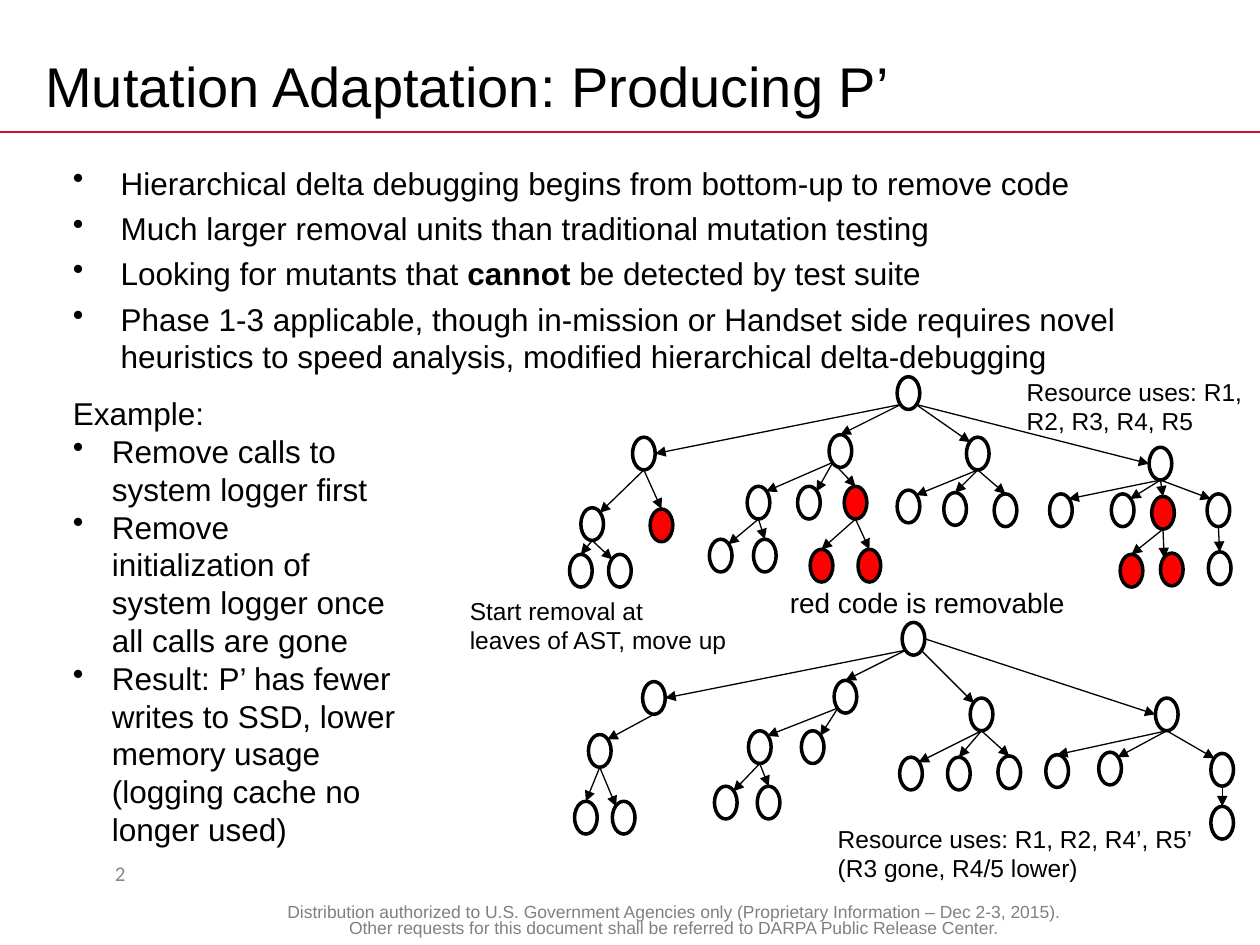
from dataclasses import dataclass

from lxml import etree
from pptx import Presentation
from pptx import util as u
from pptx.dml.color import RGBColor
from pptx.enum import shapes, text
from pptx.oxml import ns

PX = u.Inches(1) // 100
WIDTH, HEIGHT = 1000, 750

BLACK = RGBColor(0x00, 0x00, 0x00)
WHITE = RGBColor(0xFF, 0xFF, 0xFF)
RED = RGBColor(0xFF, 0x00, 0x00)
CRIMSON = RGBColor(0xCE, 0x11, 0x26)
FOOTER_GRAY = RGBColor(0x80, 0x80, 0x80)
NUMBER_GRAY = RGBColor(0x89, 0x89, 0x89)

NODE_SIZE = (18, 26)
# Points on a node where edges leave or arrive, from its top left corner
SITES = {"top": (9, 0), "top left": (3, 4), "left": (0, 13),
         "bottom left": (3, 22), "bottom": (9, 26), "bottom right": (15, 22),
         "right": (18, 13), "top right": (15, 4)}


@dataclass
class Node:
    """A syntax tree node; the edge from its parent runs from leave to arrive."""
    x: int
    y: int
    arrive: str = "top"
    leave: str = "bottom"
    removable: bool = False
    children: tuple = ()


FULL_TREE = Node(260, 0, children=(
    Node(50, 48, "right", "bottom left", children=(
        Node(9, 104, "top right", children=(
            Node(0, 141), Node(31, 141, "top left"))),
        Node(64, 105, removable=True))),
    Node(206, 46, "top", "bottom left", children=(
        Node(141, 87, "top right", "bottom left", children=(
            Node(111, 129, "top right"), Node(146, 129))),
        Node(181, 87, "top right", "bottom left"),
        Node(218, 87, "top", "bottom left", removable=True, children=(
            Node(191, 137, removable=True),
            Node(229, 137, removable=True))))),
    Node(315, 48, "top left", "bottom right", children=(
        Node(260, 90, "top right"), Node(297, 92), Node(337, 93))),
    Node(460, 56, "left", "bottom right", children=(
        Node(381, 93, "top right"),
        Node(430, 93, "top right"),
        Node(462, 95, removable=True, children=(
            Node(437, 141, removable=True),
            Node(469, 140, "top left", removable=True))),
        Node(506, 93, "top left", children=(Node(507, 139),))))))

REDUCED_TREE = Node(260, 0, children=(
    Node(54, 47, "right", "bottom left", children=(
        Node(11, 89, "top right", children=(
            Node(0, 142), Node(30, 142, "top left"))),)),
    Node(206, 46, "top", "bottom left", children=(
        Node(138, 86, "top right", "bottom left", children=(
            Node(111, 130, "top right"), Node(145, 130))),
        Node(180, 86, "top right", "bottom left"))),
    Node(314, 60, "top left", "bottom right", children=(
        Node(258, 107, "top right"), Node(296, 107), Node(336, 106))),
    Node(461, 60, "left", "right", children=(
        Node(374, 105),
        Node(416, 103, "top right"),
        Node(505, 104, "top left", children=(Node(505, 146),))))))


def px(*lengths):
    return [u.Emu(length * PX) for length in lengths]


def add_bullet(paragraph, indent):
    properties = paragraph._p.get_or_add_pPr()
    properties.set("marL", str(indent * PX))
    properties.set("indent", str(-indent * PX))
    bullet = etree.SubElement(properties, ns.qn("a:buChar"))
    bullet.set("char", "•")


def write(frame, paragraphs, size, color=BLACK, font="Arial", align=None,
          anchor=text.MSO_ANCHOR.TOP, wrap=True, indent=0, plain=0,
          space_before=0, line_spacing=None):
    """Fill a frame; ** toggles bold, and the first `plain` paragraphs get no bullet."""
    frame.word_wrap = wrap
    frame.auto_size = text.MSO_AUTO_SIZE.NONE
    frame.vertical_anchor = anchor
    for index, content in enumerate(paragraphs):
        paragraph = frame.add_paragraph() if index else frame.paragraphs[0]
        if indent and index >= plain:
            add_bullet(paragraph, indent)
        if index and space_before:
            paragraph.space_before = u.Pt(space_before)
        paragraph.alignment = align
        paragraph.line_spacing = line_spacing
        for line_index, line in enumerate(content.split("\n")):
            if line_index:
                paragraph.add_line_break()
            for part, words in enumerate(line.split("**")):
                run = paragraph.add_run()
                run.text = words
                run.font.size = u.Pt(size)
                run.font.name = font
                run.font.bold = part % 2 == 1
                run.font.color.rgb = color


def add_text(slide, box, paragraphs, size, **formatting):
    write(slide.shapes.add_textbox(*px(*box)).text_frame, paragraphs, size,
          **formatting)


def add_line(slide, start, end, color, width, arrow=False):
    line = slide.shapes.add_connector(shapes.MSO_CONNECTOR.STRAIGHT,
                                      *px(*start, *end))
    line.line.color.rgb = color
    line.line.width = u.Pt(width)
    if arrow:
        head = etree.SubElement(line.line._get_or_add_ln(), ns.qn("a:tailEnd"))
        head.set("type", "triangle")
    etree.SubElement(line._element.spPr, ns.qn("a:effectLst"))


def add_tree(slide, box, node):
    left, top = box[0] + node.x, box[1] + node.y
    ellipse = slide.shapes.add_shape(shapes.MSO_SHAPE.OVAL,
                                     *px(left, top, *NODE_SIZE))
    ellipse.shadow.inherit = False
    ellipse.fill.solid()
    ellipse.fill.fore_color.rgb = RED if node.removable else WHITE
    ellipse.line.color.rgb = BLACK
    ellipse.line.width = u.Pt(2)
    for child in node.children:
        add_tree(slide, box, child)
        leave, arrive = SITES[child.leave], SITES[child.arrive]
        add_line(slide, (left + leave[0], top + leave[1]),
                 (box[0] + child.x + arrive[0], box[1] + child.y + arrive[1]),
                 BLACK, 0.75, arrow=True)


def add_heading(slide, box):
    left, top, width, height = box
    title = slide.shapes.title
    title.left, title.top, title.width, title.height = px(
        left + 26, top + 30, 900, 75)
    write(title.text_frame, ["Mutation Adaptation: Producing P’"], 32,
          align=text.PP_ALIGN.LEFT, anchor=text.MSO_ANCHOR.MIDDLE)
    add_line(slide, (left, top + height), (left + width, top + height),
             CRIMSON, 1)


def add_explanation(slide, box):
    left, top, width, height = box
    add_text(slide, (left, top, width, 180), [
        "Hierarchical delta debugging begins from bottom-up to remove code",
        "Much larger removal units than traditional mutation testing",
        "Looking for mutants that **cannot **be detected by test suite",
        "Phase 1-3 applicable, though in-mission or Handset side requires "
        "novel heuristics to speed analysis, modified hierarchical "
        "delta-debugging",
    ], 18, indent=38, space_before=4.3)
    add_text(slide, (left, top + 183, 276, height - 183), [
        "Example:",
        "Remove calls to system logger first",
        "Remove initialization of system logger once all calls are gone",
        "Result: P’ has fewer writes to SSD, lower memory usage "
        "(logging cache no longer used)",
    ], 18, indent=31, plain=1)


def add_diagram(slide, box):
    left, top = box[:2]
    add_tree(slide, (left + 89, top + 5), FULL_TREE)
    add_tree(slide, (left + 93, top + 200), REDUCED_TREE)
    add_text(slide, (left + 442, top, 224, 57),
             ["Resource uses: R1, R2, R3, R4, R5"], 14)
    add_text(slide, (left + 292, top + 355, 321, 57),
             ["Resource uses: R1, R2, R4’, R5’ (R3 gone, R4/5 lower)"], 14)
    add_text(slide, (left + 254, top + 166, 241, 37),
             ["red code is removable"], 16, wrap=False)
    add_text(slide, (left, top + 174, 225, 57),
             ["Start removal at\nleaves of AST, move up"], 14, wrap=False)


def add_footer(slide, box):
    left, top = box[:2]
    add_text(slide, (left, top, 139, 40), ["2"], 12, font="Calibri",
             color=NUMBER_GRAY, align=text.PP_ALIGN.CENTER,
             anchor=text.MSO_ANCHOR.MIDDLE)
    add_text(slide, (left + 185, top + 40, 647, 31), [
        "Distribution authorized to U.S. Government Agencies only "
        "(Proprietary Information – Dec 2-3, 2015). Other requests for this "
        "document shall be referred to DARPA Public Release Center.",
    ], 10, color=FOOTER_GRAY, align=text.PP_ALIGN.CENTER, line_spacing=0.8)


def main():
    presentation = Presentation()
    presentation.slide_width, presentation.slide_height = px(WIDTH, HEIGHT)
    slide = presentation.slides.add_slide(presentation.slide_layouts[5])
    add_heading(slide, (0, 0, WIDTH, 105))
    add_explanation(slide, (48, 125, 900, 587))
    add_diagram(slide, (363, 294, 637, 412))
    add_footer(slide, (26, 673, 832, 71))
    presentation.save("out.pptx")


if __name__ == "__main__":
    main()
